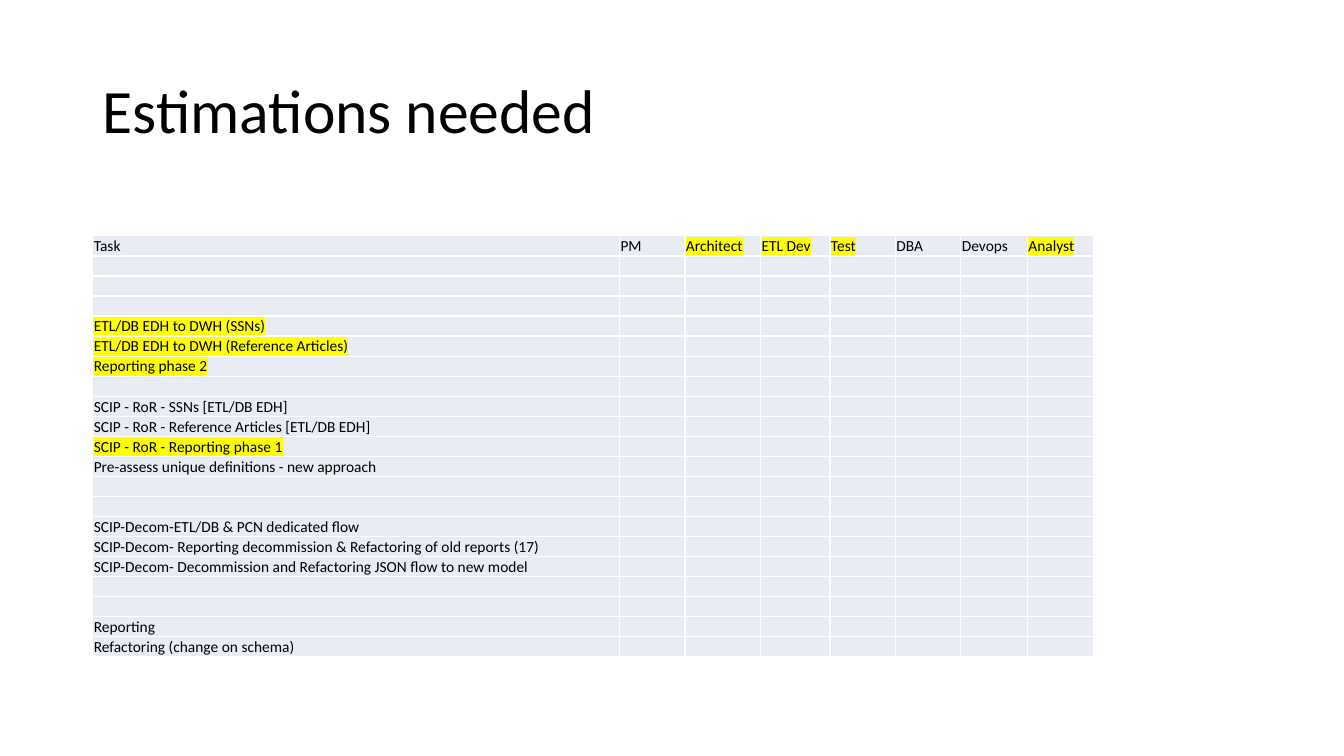
from lxml import etree
from pptx import Presentation, util as u
from pptx.dml.color import RGBColor
from pptx.enum import text
from pptx.oxml import ns

BLACK = RGBColor(0x00, 0x00, 0x00)
WHITE = RGBColor(0xFF, 0xFF, 0xFF)
YELLOW = RGBColor(0xFF, 0xFF, 0x00)
PALE_BLUE = RGBColor(0xE9, 0xEB, 0xF5)
FONT = "Calibri"
TASK_SIZE = u.Pt(11)

ROLES = ["Task", "PM", "Architect", "ETL Dev", "Test", "DBA", "Devops", "Analyst"]
ROLE_WIDTHS = [5.23, 0.65, 0.75, 0.69, 0.65, 0.65, 0.66, 0.66]
TASKS = [
    "", "", "",
    "ETL/DB EDH to DWH (SSNs)",
    "ETL/DB EDH to DWH (Reference Articles)",
    "Reporting phase 2",
    "",
    "SCIP - RoR - SSNs [ETL/DB EDH]",
    "SCIP - RoR - Reference Articles [ETL/DB EDH]",
    "SCIP - RoR - Reporting phase 1",
    "Pre-assess unique definitions - new approach",
    "", "",
    "SCIP-Decom-ETL/DB & PCN dedicated flow",
    "SCIP-Decom- Reporting decommission & Refactoring of old reports (17)",
    "SCIP-Decom- Decommission and Refactoring JSON flow to new model",
    "", "",
    "Reporting",
    "Refactoring (change on schema)",
]
HIGHLIGHTED = {
    "Architect", "ETL Dev", "Test", "Analyst",
    "ETL/DB EDH to DWH (SSNs)", "ETL/DB EDH to DWH (Reference Articles)",
    "Reporting phase 2", "SCIP - RoR - Reporting phase 1",
}


def add_element(parent, tag, **attributes):
    """Append a DrawingML element to its parent."""
    return etree.SubElement(parent, ns.qn(tag), attributes)


def add_wording(paragraph, wording, size, highlighted=False):
    """Add one black run, marked yellow if asked."""
    run = paragraph.add_run()
    run.text = wording
    if highlighted:
        mark = add_element(run._r.get_or_add_rPr(), "a:highlight")
        add_element(mark, "a:srgbClr", val=str(YELLOW))
    run.font.size = size
    run.font.name = FONT
    run.font.color.rgb = BLACK


def place_title(title, wording, left, top, width, height):
    """Place and format the slide title."""
    title.left, title.top, title.width, title.height = map(u.Inches, (left, top, width, height))
    title.text_frame.vertical_anchor = text.MSO_ANCHOR.MIDDLE
    heading = title.text_frame.paragraphs[0]
    heading.alignment = text.PP_ALIGN.LEFT
    heading.line_spacing = 0.9
    add_wording(heading, wording, u.Pt(44))


def fill_cell(cell, wording):
    """Give a cell its white borders, pale fill and wording."""
    cell.margin_left = cell.margin_right = cell.margin_top = u.Inches(0.01)
    cell.margin_bottom = 0
    cell.vertical_anchor = text.MSO_ANCHOR.BOTTOM
    properties = cell._tc.get_or_add_tcPr()
    for side in ("a:lnL", "a:lnR", "a:lnT", "a:lnB"):
        border = add_element(properties, side, w=str(u.Pt(1)))
        add_element(add_element(border, "a:solidFill"), "a:srgbClr", val=str(WHITE))
    cell.fill.solid()
    cell.fill.fore_color.rgb = PALE_BLUE
    paragraph = cell.text_frame.paragraphs[0]
    if wording:
        add_wording(paragraph, wording, TASK_SIZE, wording in HIGHLIGHTED)
    else:
        add_element(paragraph._p, "a:endParaRPr", sz=str(int(TASK_SIZE.pt * 100)))


def add_estimates(slide, left, top, width, height):
    """Add the grid of tasks against roles."""
    rows = [ROLES] + [[task] + [""] * (len(ROLES) - 1) for task in TASKS]
    estimates = slide.shapes.add_table(
        len(rows), len(ROLES), *map(u.Inches, (left, top, width, height))).table
    estimates.first_row = estimates.horz_banding = False
    for column, share in zip(estimates.columns, ROLE_WIDTHS):
        column.width = u.Inches(width * share / sum(ROLE_WIDTHS))
    for row, wordings in zip(estimates.rows, rows):
        row.height = u.Inches(height / len(rows))
        for cell, wording in zip(row.cells, wordings):
            fill_cell(cell, wording)


def main():
    """Build and save the estimations slide."""
    presentation = Presentation()
    presentation.slide_width = u.Inches(13.33)
    presentation.slide_height = u.Inches(7.5)
    slide = presentation.slides.add_slide(presentation.slide_layouts[5])
    place_title(slide.shapes.title, "Estimations needed", 0.92, 0.4, 11.5, 1.45)
    add_estimates(slide, 0.92, 2.34, 9.93, 4.07)
    presentation.save("out.pptx")


if __name__ == "__main__":
    main()
